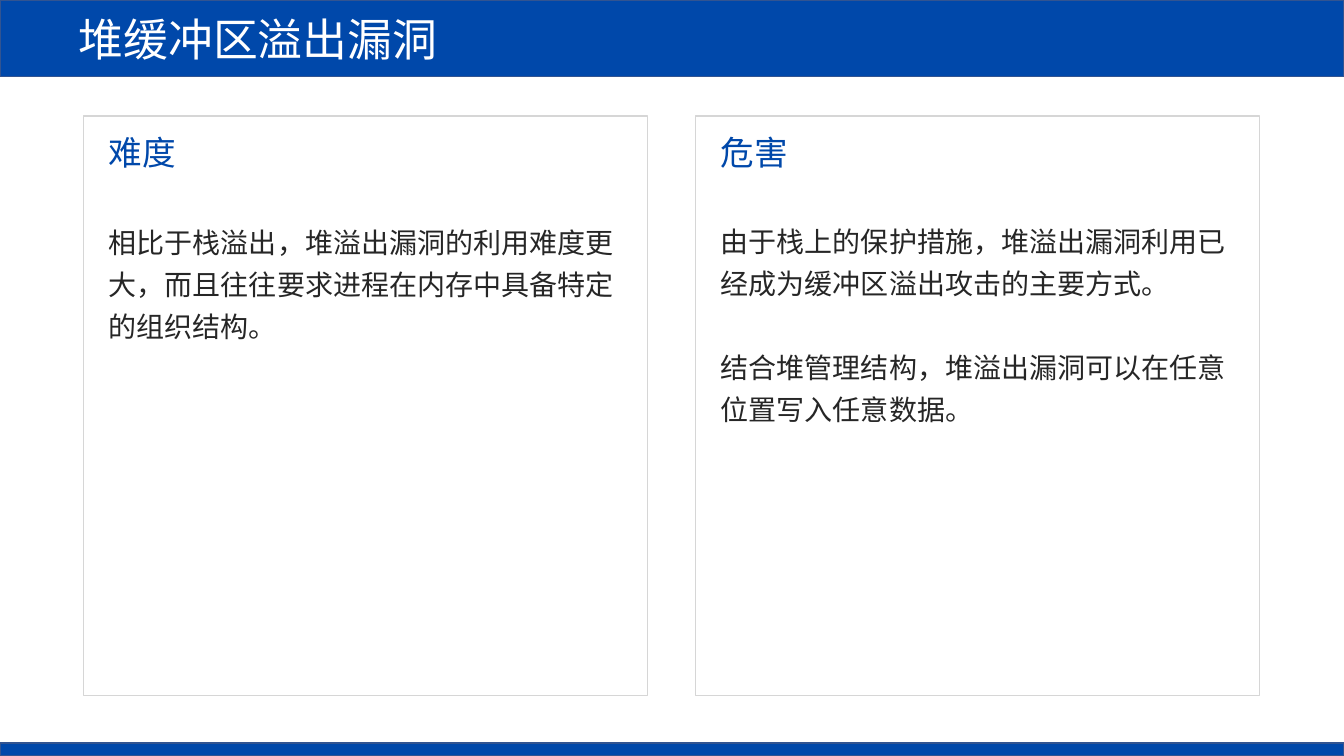
from dataclasses import dataclass

import lxml.etree
import pptx
import pptx.dml.color
import pptx.enum.shapes
import pptx.enum.text
import pptx.oxml.ns
import pptx.shapes.autoshape
import pptx.slide
import pptx.util

Inches = pptx.util.Inches
Pt = pptx.util.Pt
RGB = pptx.dml.color.RGBColor


@dataclass(frozen=True)
class Theme:
    font: str = "Noto Sans CJK SC"
    blue: str = "0048AA"
    bar_line: str = "325491"
    card_line: str = "D6D6D6"
    white: str = "FFFFFF"
    ink: str = "262626"
    title_size: int = 32
    heading_size: int = 24
    body_size: int = 20
    line_spacing: float = 1.25
    paragraph_gap: int = 30


@dataclass(frozen=True)
class Box:
    left: float
    top: float
    width: float
    height: float

    def lengths(self) -> list[int]:
        return [Inches(v) for v in (self.left, self.top, self.width, self.height)]


@dataclass(frozen=True)
class Card:
    left: float
    heading: str
    paragraphs: tuple[str, ...]
    body_height: float


THEME = Theme()
SLIDE_W, SLIDE_H = 13.33, 7.5
TITLE_H, FOOTER_H = 0.76, 0.13
CARD_TOP, CARD_W, CARD_H = 1.15, 5.59, 5.75

CARDS = (
    Card(0.83, "难度", (
        "相比于栈溢出，堆溢出漏洞的利用难度更大，而且往往要求进程在内存中具备特定的组织结构。",
    ), 1.75),
    Card(6.9, "危害", (
        "由于栈上的保护措施，堆溢出漏洞利用已经成为缓冲区溢出攻击的主要方式。",
        "结合堆管理结构，堆溢出漏洞可以在任意位置写入任意数据。",
    ), 2.17),
)


def add_rect(slide: pptx.slide.Slide, box: Box, line: str,
             fill: str | None = None) -> pptx.shapes.autoshape.Shape:
    sp = slide.shapes.add_shape(pptx.enum.shapes.MSO_SHAPE.RECTANGLE, *box.lengths())
    sp.shadow.inherit = False
    if fill:
        sp.fill.solid()
        sp.fill.fore_color.rgb = RGB.from_string(fill)
    else:
        sp.fill.background()
    sp.line.color.rgb = RGB.from_string(line)
    sp.line.width = Pt(1)
    return sp


def write(sp: pptx.shapes.autoshape.Shape, text: str, size: int, color: str) -> None:
    tf = sp.text_frame
    tf.text = text
    for p in tf.paragraphs:
        p.alignment = pptx.enum.text.PP_ALIGN.LEFT
        for r in p.runs:
            r.font.size = Pt(size)
            r.font.color.rgb = RGB.from_string(color)
            r.font.name = THEME.font
            # East Asian typeface
            ea = lxml.etree.SubElement(r.font._element, pptx.oxml.ns.qn("a:ea"))
            ea.set("typeface", THEME.font)


def add_text(slide: pptx.slide.Slide, box: Box, text: str, size: int, color: str,
             wrap: bool) -> pptx.shapes.autoshape.Shape:
    sp = slide.shapes.add_textbox(*box.lengths())
    write(sp, text, size, color)
    sp.text_frame.word_wrap = wrap
    sp.text_frame.auto_size = pptx.enum.text.MSO_AUTO_SIZE.SHAPE_TO_FIT_TEXT
    return sp


def add_bars(slide: pptx.slide.Slide, title: str) -> None:
    sp = add_rect(slide, Box(0, 0, SLIDE_W, TITLE_H), THEME.bar_line, THEME.blue)
    write(sp, title, THEME.title_size, THEME.white)
    sp.text_frame.margin_left = Inches(0.78)
    sp.text_frame.vertical_anchor = pptx.enum.text.MSO_ANCHOR.MIDDLE
    add_rect(slide, Box(0, SLIDE_H - FOOTER_H, SLIDE_W, FOOTER_H),
             THEME.bar_line, THEME.blue)


def add_card(slide: pptx.slide.Slide, card: Card) -> None:
    add_rect(slide, Box(card.left, CARD_TOP, CARD_W, CARD_H), THEME.card_line)
    text_left = card.left + 0.15
    add_text(slide, Box(text_left, CARD_TOP + 0.11, 0.88, 0.5), card.heading,
             THEME.heading_size, THEME.blue, wrap=False)
    sp = add_text(slide, Box(text_left, CARD_TOP + 0.95, 5.28, card.body_height),
                  "\n".join(card.paragraphs), THEME.body_size, THEME.ink, wrap=True)
    for i, p in enumerate(sp.text_frame.paragraphs):
        p.line_spacing = THEME.line_spacing
        if i:
            p.space_before = Pt(THEME.paragraph_gap)


def main() -> None:
    prs = pptx.Presentation()
    prs.slide_width, prs.slide_height = Inches(SLIDE_W), Inches(SLIDE_H)
    slide = prs.slides.add_slide(prs.slide_layouts[6])

    # Title and footer bars
    add_bars(slide, "堆缓冲区溢出漏洞")

    # Side-by-side cards
    for card in CARDS:
        add_card(slide, card)

    prs.save("out.pptx")


if __name__ == "__main__":
    main()
